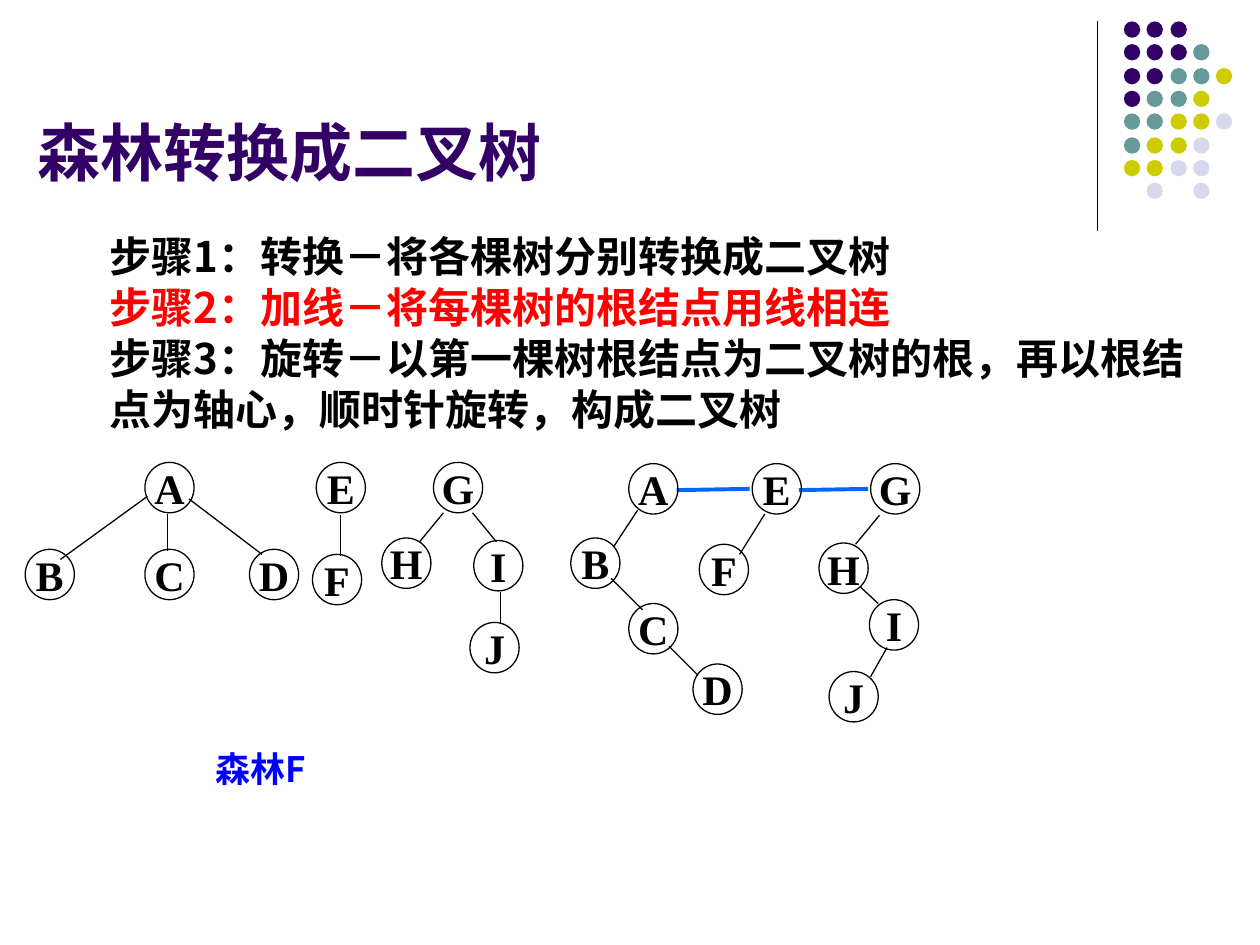
import dataclasses

import lxml.etree
import pptx
import pptx.dml.color
import pptx.enum.shapes
import pptx.enum.text
import pptx.oxml.ns
import pptx.util

PX = 9144
OVAL = pptx.enum.shapes.MSO_SHAPE.OVAL
STRAIGHT = pptx.enum.shapes.MSO_CONNECTOR.STRAIGHT
ANCHOR = pptx.enum.text.MSO_ANCHOR
ALIGN = pptx.enum.text.PP_ALIGN


@dataclasses.dataclass(frozen=True)
class Theme:
    """Colours, fonts and type sizes of the slide."""
    ink: str = "000000"
    title: str = "330066"
    accent: str = "FF0000"
    caption: str = "0000FF"
    link: str = "0066FF"
    dots: tuple = (("P", "330066"), ("T", "669999"), ("Y", "CCCC00"), ("L", "D8D8EC"))
    title_font: str = "Arial"
    body_font: str = "Noto Sans CJK SC"
    node_font: str = "Times New Roman"
    title_size: int = 36
    body_size: int = 24
    caption_size: int = 20
    thin: float = 0.75
    thick: float = 2.25


DOT_ROWS = ["PPP", "PPPT", "PPTTY", "PTTY", "TTYYL", "TYYL", "YYLL", " L L"]

FOREST_NODES = [
    ("A", 115, 367), ("B", 20, 436), ("C", 115, 436), ("D", 198, 436),
    ("E", 251, 367), ("F", 248, 440),
    ("G", 344, 367), ("H", 303, 427), ("I", 376, 429), ("J", 373, 494),
]
FOREST_EDGES = [
    (133, 408, 133, 437), (117, 394, 48, 444), (150, 396, 208, 440),
    (270, 409, 270, 441),
    (352, 407, 333, 430), (375, 407, 394, 430), (397, 470, 397, 495),
]
BINARY_NODES = [
    ("A", 499, 368), ("B", 453, 427), ("C", 499, 479), ("D", 550, 527),
    ("E", 597, 368), ("F", 555, 432),
    ("G", 691, 368), ("H", 650, 431), ("I", 690, 476), ("J", 658, 533),
]
BINARY_EDGES = [
    (506, 405, 487, 434), (485, 459, 510, 484), (531, 513, 554, 536),
    (607, 408, 587, 440),
    (698, 409, 679, 432), (683, 466, 697, 479), (704, 514, 691, 537),
]
ROOT_LINKS = [(537, 389, 595, 388), (634, 389, 689, 388)]


def rgb(code):
    """Turn a hex code into a colour."""
    return pptx.dml.color.RGBColor.from_string(code)


def write_text(para, text, *, font, size, color, align=None, level=0, indent=0, leading=None):
    """Write one bold span into a paragraph with the given format."""
    para.level = level
    if indent:
        properties = para._p.get_or_add_pPr()
        properties.set("marL", str(indent * PX))
        properties.set("indent", "0")
    para.alignment = align
    if leading:
        para.line_spacing = pptx.util.Pt(leading)
    span = para.add_run()
    span.text = text
    span.font.name = font
    span.font.size = pptx.util.Pt(size)
    span.font.bold = True
    span.font.color.rgb = rgb(color)
    east_asian = lxml.etree.SubElement(span._r.get_or_add_rPr(), pptx.oxml.ns.qn("a:ea"))
    east_asian.set("typeface", font)


class Page:
    """Draw styled elements on the current slide."""

    def __init__(self, theme, slide):
        """Keep the theme and the slide."""
        self.theme = theme
        self.shapes = slide.shapes

    def line(self, x1, y1, x2, y2, color, width):
        """Draw a straight line."""
        line = self.shapes.add_connector(STRAIGHT, x1 * PX, y1 * PX, x2 * PX, y2 * PX)
        line.line.color.rgb = rgb(color)
        line.line.width = pptx.util.Pt(width)
        lxml.etree.SubElement(line._element.spPr, pptx.oxml.ns.qn("a:effectLst"))

    def oval(self, left, top, width, height):
        """Add an ellipse without a shadow."""
        oval = self.shapes.add_shape(OVAL, left * PX, top * PX, width * PX, height * PX)
        oval.shadow.inherit = False
        return oval

    def dot(self, left, top, color):
        """Draw one dot of the corner ornament."""
        dot = self.oval(left, top, 13, 13)
        dot.fill.solid()
        dot.fill.fore_color.rgb = rgb(color)
        dot.line.fill.background()

    def node(self, label, left, top):
        """Draw a labelled tree node."""
        node = self.oval(left, top, 39, 40)
        node.fill.background()
        node.line.color.rgb = rgb(self.theme.ink)
        node.line.width = pptx.util.Pt(self.theme.thin)
        frame = node.text_frame
        frame.word_wrap = False
        frame.vertical_anchor = ANCHOR.MIDDLE
        write_text(frame.paragraphs[0], label, font=self.theme.node_font,
                   size=self.theme.body_size, color=self.theme.ink, align=ALIGN.CENTER)

    def tree(self, nodes, edges):
        """Draw nodes and the edges between them."""
        for node in nodes:
            self.node(*node)
        for edge in edges:
            self.line(*edge, self.theme.ink, self.theme.thin)

    def text(self, left, top, width, height, lines, anchor=ANCHOR.TOP, **style):
        """Add a text box with one paragraph per (text, colour) pair."""
        box = self.shapes.add_textbox(left * PX, top * PX, width * PX, height * PX)
        frame = box.text_frame
        frame.word_wrap = True
        frame.vertical_anchor = anchor
        for index, (text, color) in enumerate(lines):
            para = frame.add_paragraph() if index else frame.paragraphs[0]
            write_text(para, text, color=color, **style)


def main():
    """Build the slide and save the deck."""
    theme = Theme()
    deck = pptx.Presentation()
    deck.slide_width, deck.slide_height = 1000 * PX, 750 * PX
    page = Page(theme, deck.slides.add_slide(deck.slide_layouts[6]))

    page.line(871, 17, 871, 183, theme.ink, theme.thin)
    palette = dict(theme.dots)
    for row, pattern in enumerate(DOT_ROWS):
        for column, key in enumerate(pattern):
            if key in palette:
                page.dot(892 + round(column * 18.3), 17 + round(row * 18.3), palette[key])

    page.text(20, 13, 825, 142, [("森林转换成二叉树", theme.title)], anchor=ANCHOR.BOTTOM,
              font=theme.title_font, size=theme.title_size)
    steps = [
        ("步骤1：转换－将各棵树分别转换成二叉树", theme.ink),
        ("步骤2：加线－将每棵树的根结点用线相连", theme.accent),
        ("步骤3：旋转－以第一棵树根结点为二叉树的根，再以根结点为轴心，顺时针旋转，构成二叉树",
         theme.ink),
    ]
    page.text(27, 178, 945, 170, steps, font=theme.body_font, size=theme.body_size,
              level=1, indent=50, leading=29)

    page.tree(FOREST_NODES, FOREST_EDGES)
    for link in ROOT_LINKS:
        page.line(*link, theme.link, theme.thick)
    page.tree(BINARY_NODES, BINARY_EDGES)
    page.text(161, 588, 150, 44, [("森林F", theme.caption)], font=theme.body_font,
              size=theme.caption_size, leading=24)

    deck.save("out.pptx")


if __name__ == "__main__":
    main()
